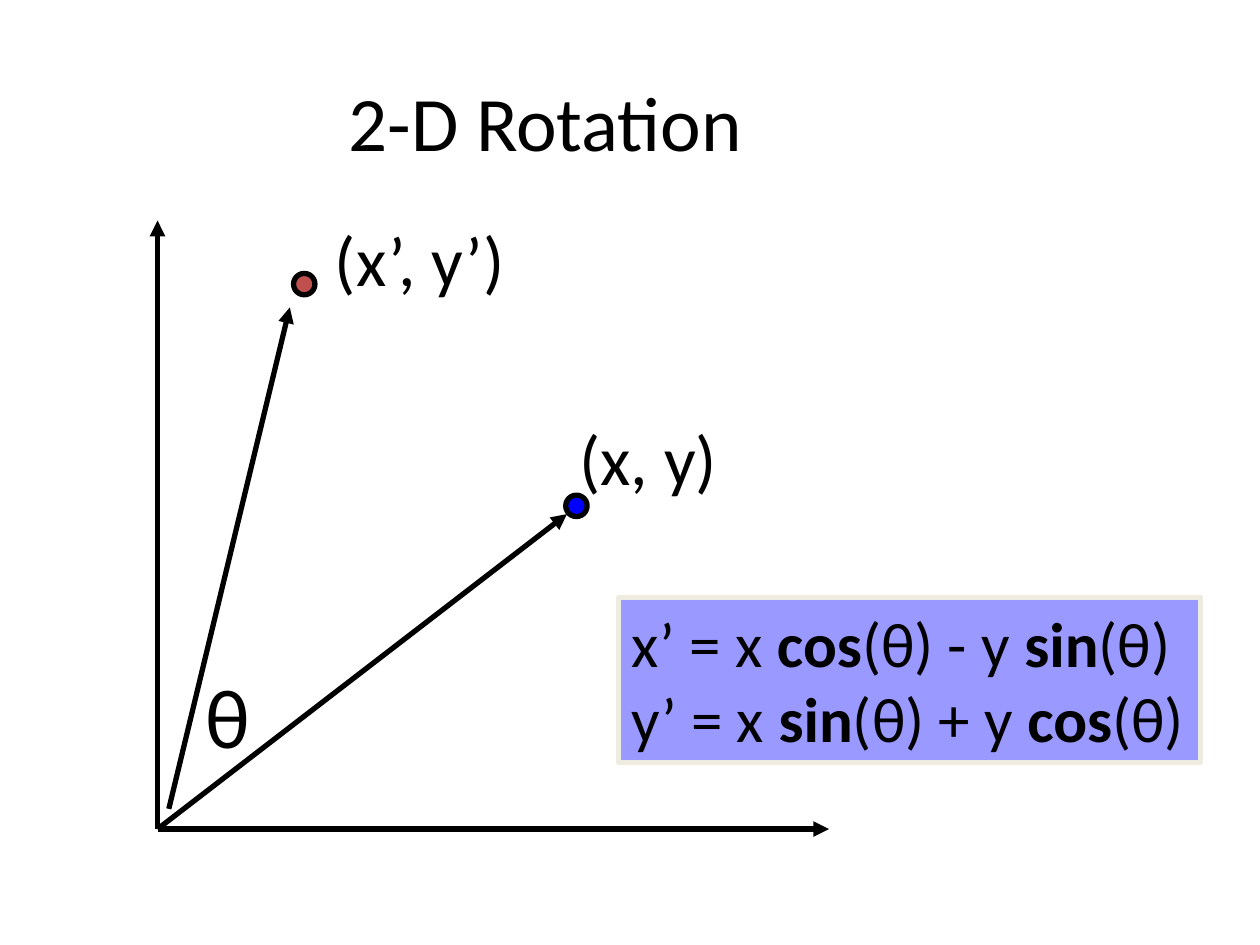
from lxml.etree import SubElement
from pptx import Presentation
from pptx.dml.color import RGBColor
from pptx.enum.shapes import MSO_CONNECTOR, MSO_SHAPE
from pptx.enum.text import MSO_ANCHOR, PP_ALIGN
from pptx.oxml.ns import qn
from pptx.util import Inches, Pt

COLORS = {
    "ink": "000000",
    "rotated": "C0504D",
    "start": "0000FF",
    "formula": "9999FF",
    "border": "EEECE1",
}
FONT = "Calibri"
LINE_WIDTH = Pt(3)
POINT_SIZE = 0.17
ORIGIN = (1.25, 6.58)
FORMULAS = [
    ["x’ = x ", "cos", "(θ) - y ", "sin", "(θ)"],
    ["y’ = x ", "sin", "(θ) + y ", "cos", "(θ)"],
]


def rgb(name):
    return RGBColor.from_string(COLORS[name])


def style_run(run, size, bold=False):
    run.font.name = FONT
    run.font.size = Pt(size)
    run.font.bold = bold
    run.font.color.rgb = rgb("ink")


def style_shape(shape, fill, line):
    shape.shadow.inherit = False
    shape.fill.solid()
    shape.fill.fore_color.rgb = rgb(fill)
    shape.line.color.rgb = rgb(line)
    shape.line.width = LINE_WIDTH


def set_title(slide, text):
    title = slide.shapes.title
    title.left, title.top = Inches(0.29), Inches(0.33)
    title.width, title.height = Inches(8.08), Inches(1.25)
    title.text_frame.text = text
    title.text_frame.vertical_anchor = MSO_ANCHOR.MIDDLE
    paragraph = title.text_frame.paragraphs[0]
    paragraph.alignment = PP_ALIGN.CENTER
    style_run(paragraph.runs[0], 44)


def add_arrow(slide, start, end):
    arrow = slide.shapes.add_connector(
        MSO_CONNECTOR.STRAIGHT, *(Inches(value) for value in (*start, *end)))
    arrow.line.color.rgb = rgb("ink")
    arrow.line.width = LINE_WIDTH
    SubElement(arrow.line._get_or_add_ln(), qn("a:tailEnd"), type="triangle")
    SubElement(arrow._element.spPr, qn("a:effectLst"))


def add_point(slide, left, top, fill):
    point = slide.shapes.add_shape(
        MSO_SHAPE.OVAL, Inches(left), Inches(top),
        Inches(POINT_SIZE), Inches(POINT_SIZE))
    style_shape(point, fill, "ink")


def add_label(slide, text, left, top, width, height, size):
    label = slide.shapes.add_textbox(
        Inches(left), Inches(top), Inches(width), Inches(height))
    frame = label.text_frame
    frame.word_wrap = False
    frame.vertical_anchor = MSO_ANCHOR.MIDDLE
    frame.text = text
    style_run(frame.paragraphs[0].runs[0], size)


def add_formulas(slide):
    """Add the formula box; every second part of a formula is a bold function."""
    box = slide.shapes.add_shape(
        MSO_SHAPE.RECTANGLE, Inches(4.91), Inches(4.74), Inches(4.62), Inches(1.31))
    style_shape(box, "formula", "border")
    frame = box.text_frame
    frame.word_wrap = False
    frame.vertical_anchor = MSO_ANCHOR.MIDDLE
    frame.add_paragraph()
    for paragraph, parts in zip(frame.paragraphs, FORMULAS):
        paragraph.alignment = PP_ALIGN.LEFT
        for index, part in enumerate(parts):
            run = paragraph.add_run()
            run.text = part
            style_run(run, 36, bold=index % 2 == 1)


def main():
    presentation = Presentation()
    presentation.slide_width, presentation.slide_height = Inches(10), Inches(7.5)
    slide = presentation.slides.add_slide(presentation.slide_layouts[5])

    set_title(slide, "2-D Rotation")
    add_point(slide, 2.33, 2.17, "rotated")
    add_arrow(slide, ORIGIN, (1.25, 1.75))
    add_arrow(slide, ORIGIN, (6.58, 6.58))
    add_point(slide, 4.49, 3.93, "start")
    add_arrow(slide, ORIGIN, (4.5, 4.08))
    add_arrow(slide, (1.34, 6.42), (2.3, 2.44))
    add_label(slide, "θ", 1.53, 5.22, 0.55, 0.91, 48)
    add_label(slide, "(x, y)", 4.5, 3.25, 1.31, 0.77, 40)
    add_label(slide, "(x’, y’)", 2.56, 1.67, 1.58, 0.77, 40)
    add_formulas(slide)

    presentation.save("out.pptx")


if __name__ == "__main__":
    main()
